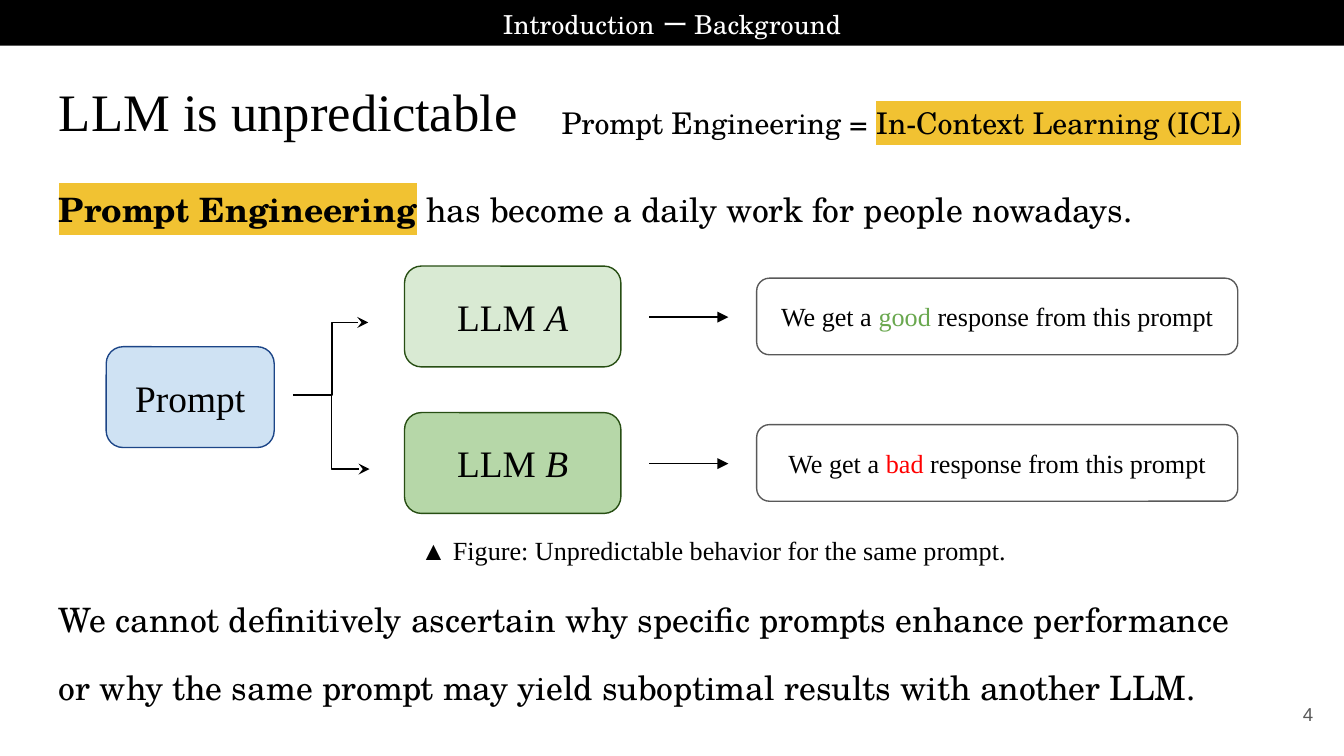
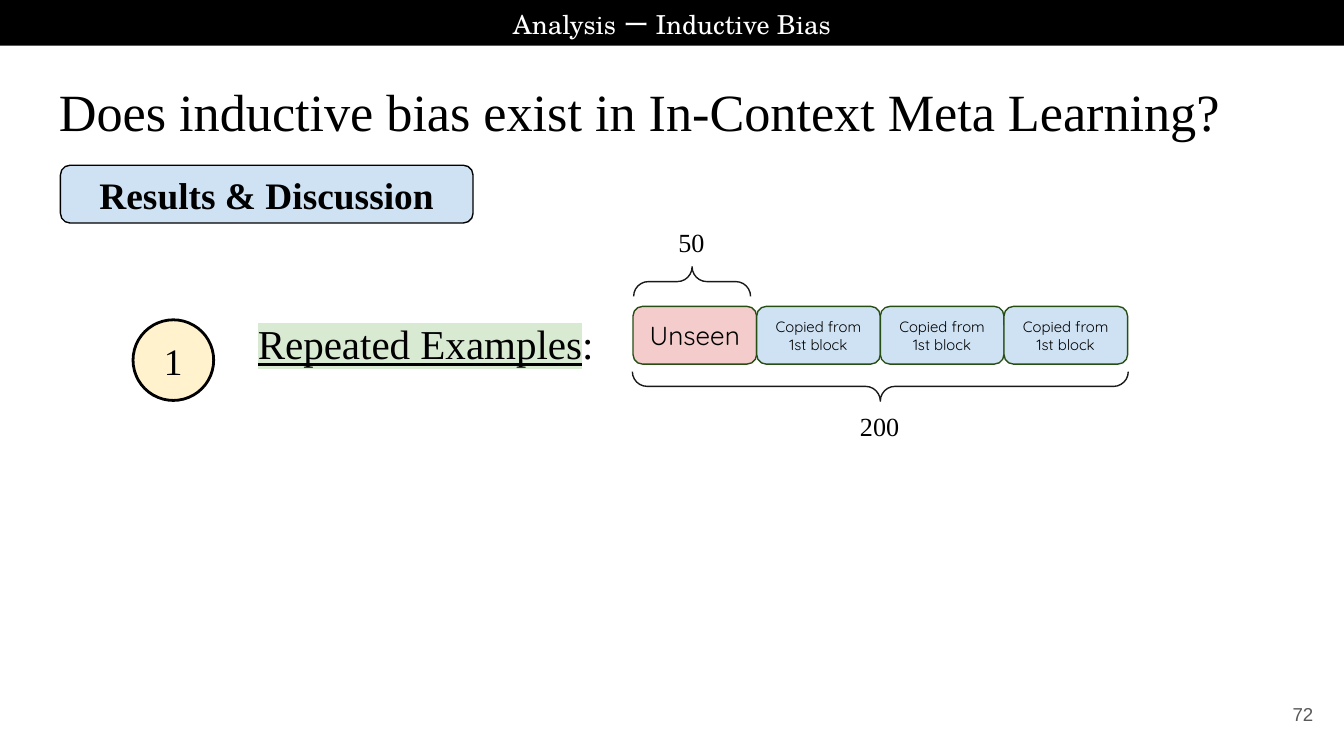
"""Build two lecture slides on prompt engineering and inductive bias."""
from lxml import etree
from pptx import Presentation
from pptx.dml.color import RGBColor
from pptx.enum.shapes import MSO_CONNECTOR, MSO_SHAPE
from pptx.enum.text import MSO_ANCHOR, PP_ALIGN
from pptx.oxml.ns import qn
from pptx.util import Pt

PX = 9144
SERIF, SCHOLA, SANS, ROUNDED = "Times New Roman", "TeX Gyre Schola", "Arial", "Quicksand"
BLACK = RGBColor(0x00, 0x00, 0x00)
WHITE = RGBColor(0xFF, 0xFF, 0xFF)
INK = RGBColor(0x19, 0x19, 0x19)
GREY = RGBColor(0x59, 0x59, 0x59)
NAVY = RGBColor(0x1C, 0x45, 0x87)
FOREST = RGBColor(0x27, 0x4E, 0x13)
SKY = RGBColor(0xCF, 0xE2, 0xF3)
MINT = RGBColor(0xD9, 0xEA, 0xD3)
LEAF = RGBColor(0xB6, 0xD7, 0xA8)
GREEN = RGBColor(0x6A, 0xA8, 0x4F)
RED = RGBColor(0xFF, 0x00, 0x00)
PINK = RGBColor(0xF4, 0xCC, 0xCC)
CREAM = RGBColor(0xFF, 0xF2, 0xCC)
GOLD = RGBColor(0xF1, 0xC2, 0x32)
RECTANGLE, ROUND = MSO_SHAPE.RECTANGLE, MSO_SHAPE.ROUNDED_RECTANGLE
ELLIPSE, BRACE = MSO_SHAPE.OVAL, MSO_SHAPE.RIGHT_BRACE
STRAIGHT, ELBOW = MSO_CONNECTOR.STRAIGHT, MSO_CONNECTOR.ELBOW
TOP, MIDDLE = MSO_ANCHOR.TOP, MSO_ANCHOR.MIDDLE
CENTER, LEFT, RIGHT, JUSTIFY = PP_ALIGN.CENTER, PP_ALIGN.LEFT, PP_ALIGN.RIGHT, PP_ALIGN.JUSTIFY


def write(box, paragraphs, size, font=SERIF, color=BLACK, align=CENTER, anchor=MIDDLE, spacing=1.0, after=0):
    """Fill a box with paragraphs, each a list of (text, options) runs."""
    frame = box.text_frame
    frame.word_wrap = True
    frame.vertical_anchor = anchor
    frame.margin_left = frame.margin_right = frame.margin_top = frame.margin_bottom = 10 * PX
    for index, runs in enumerate(paragraphs):
        para = frame.add_paragraph() if index else frame.paragraphs[0]
        para.alignment = align
        para.line_spacing = spacing
        para.space_before = Pt(after if index else 0)
        para.space_after = Pt(after if index == len(paragraphs) - 1 else 0)
        for text, options in runs:
            span = para.add_run()
            span.text = text
            span.font.size = Pt(size)
            span.font.name = font
            span.font.bold = options.get("bold")
            span.font.italic = options.get("italic")
            span.font.underline = options.get("underline")
            span.font.color.rgb = options.get("color", color)
            if "highlight" in options:
                highlight = etree.Element(qn("a:highlight"))
                etree.SubElement(highlight, qn("a:srgbClr"), val=str(options["highlight"]))
                span.font._element.find(qn("a:solidFill")).addnext(highlight)


def add_box(page, at, kind=None, fill=None, line=None, weight=0.75):
    """Add a preset shape, or a text box when no kind is given."""
    place = [length * PX for length in at]
    if kind is None:
        return page.shapes.add_textbox(*place)
    box = page.shapes.add_shape(kind, *place)
    box.shadow.inherit = False
    if fill is None:
        box.fill.background()
    else:
        box.fill.solid()
        box.fill.fore_color.rgb = fill
    if line is None:
        box.line.fill.background()
    else:
        box.line.color.rgb = line
        box.line.width = Pt(weight)
    return box


deck = Presentation()
deck.slide_width = 1000 * PX
deck.slide_height = deck.slide_width * 9 // 16

pages = []
for section, section_width, title, title_size, number in [
    ("Introduction ー Background", 384, "LLM is unpredictable", 28.2, "4"),
    ("Analysis ー Inductive Bias", 514, "Does inductive bias exist in In-Context Meta Learning?", 28, "72"),
]:
    page = deck.slides.add_slide(deck.slide_layouts[6])
    pages.append(page)
    add_box(page, (0, -1, 1000, 35), RECTANGLE, BLACK)
    section_box = add_box(page, ((1000 - section_width) // 2, -1, section_width, 35))
    write(section_box, [[(section, {})]], 14, SCHOLA, WHITE, spacing=1.15, after=12)
    write(add_box(page, (34, 49, 932, 63)), [[(title, {})]], title_size, align=LEFT, anchor=TOP)
    write(add_box(page, (927, 510, 60, 43)), [[(number, {})]], 10, SANS, GREY, RIGHT)

background, bias = pages

for at, size, paragraphs in [
    ((408, 64, 550, 47), 16,
     [[("Prompt Engineering = ", {}), ("In-Context Learning (ICL)", {"highlight": GOLD})]]),
    ((34, 126, 932, 142), 18,
     [[("Prompt Engineering", {"bold": True, "highlight": GOLD}),
       (" has become a daily work for people nowadays.", {})]]),
    ((34, 431, 932, 116), 18,
     [[("We cannot definitively ascertain why specific prompts enhance performance", {})],
      [("or why the same prompt may yield suboptimal results with another LLM.", {})]]),
]:
    write(add_box(background, at), paragraphs, size, SCHOLA, align=JUSTIFY, anchor=TOP, spacing=1.15, after=12)

write(add_box(background, (79, 258, 125, 75), ROUND, SKY, NAVY), [[("Prompt", {})]], 20)
write(add_box(background, (279, 388, 504, 43)),
      [[("▲ Figure: Unpredictable behavior for the same prompt.", {})]], 14)

arrows = [(ELBOW, (220, 294), (274, 240), "stealth"), (ELBOW, (218, 294), (275, 349), "stealth")]
for top, model, fill, verdict, color in [(198, "A", MINT, "good", GREEN), (307, "B", LEAF, "bad", RED)]:
    write(add_box(background, (301, top, 161, 75), ROUND, fill, FOREST),
          [[("LLM ", {}), (model, {"italic": True})]], 20)
    write(add_box(background, (563, top + 9, 358, 57), ROUND, None, GREY),
          [[("We get a ", {}), (verdict, {"color": color}), (" response from this prompt", {})]], 14)
    arrows.append((STRAIGHT, (483, top + 38), (542, top + 38), "triangle"))

for kind, start, end, head in arrows:
    arrow = background.shapes.add_connector(kind, *[length * PX for length in start + end])
    arrow.line.color.rgb = BLACK
    arrow.line.width = Pt(0.75)
    etree.SubElement(arrow.line._get_or_add_ln(), qn("a:tailEnd"), type=head)
    etree.SubElement(arrow._element.spPr, qn("a:effectLst"))

write(add_box(bias, (45, 123, 307, 43), ROUND, SKY, BLACK), [[("Results & Discussion", {"bold": True})]], 20)
write(add_box(bias, (99, 238, 60, 60), ELLIPSE, CREAM, BLACK, 1.5), [[("1", {})]], 20)
write(add_box(bias, (182, 224, 526, 63)),
      [[("Repeated Examples", {"underline": True, "highlight": MINT}), (":", {})]], 22, align=JUSTIFY, after=10)

for index in range(4):
    label, size, fill = ("Copied from 1st block", 8, SKY) if index else ("Unseen", 14, PINK)
    block = add_box(bias, (471 + 92 * index, 228, 92, 43), ROUND, fill, FOREST)
    write(block, [[(label, {})]], size, ROUNDED)

for brace_at, rotation, label_at, count in [
    ((504, 166, 22, 87), 270, (463, 158, 103, 44), "50"),
    ((644, 103, 22, 369), 90, (603, 295, 103, 44), "200"),
]:
    brace = add_box(bias, brace_at, BRACE, None, INK)
    brace.rotation = rotation
    brace.adjustments[0] = 0.5
    write(add_box(bias, label_at), [[(count, {})]], 14, after=10)

deck.save("out.pptx")
